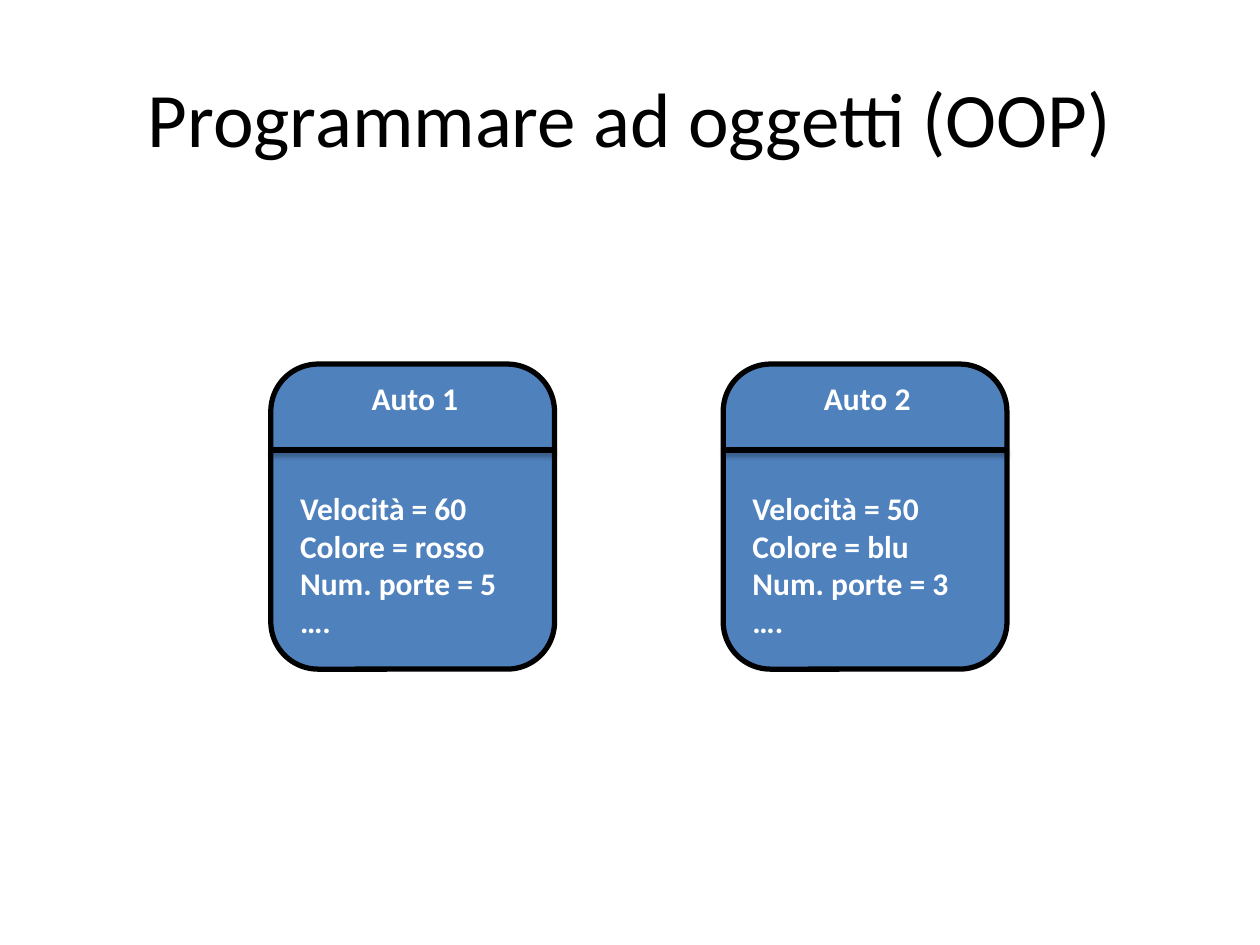
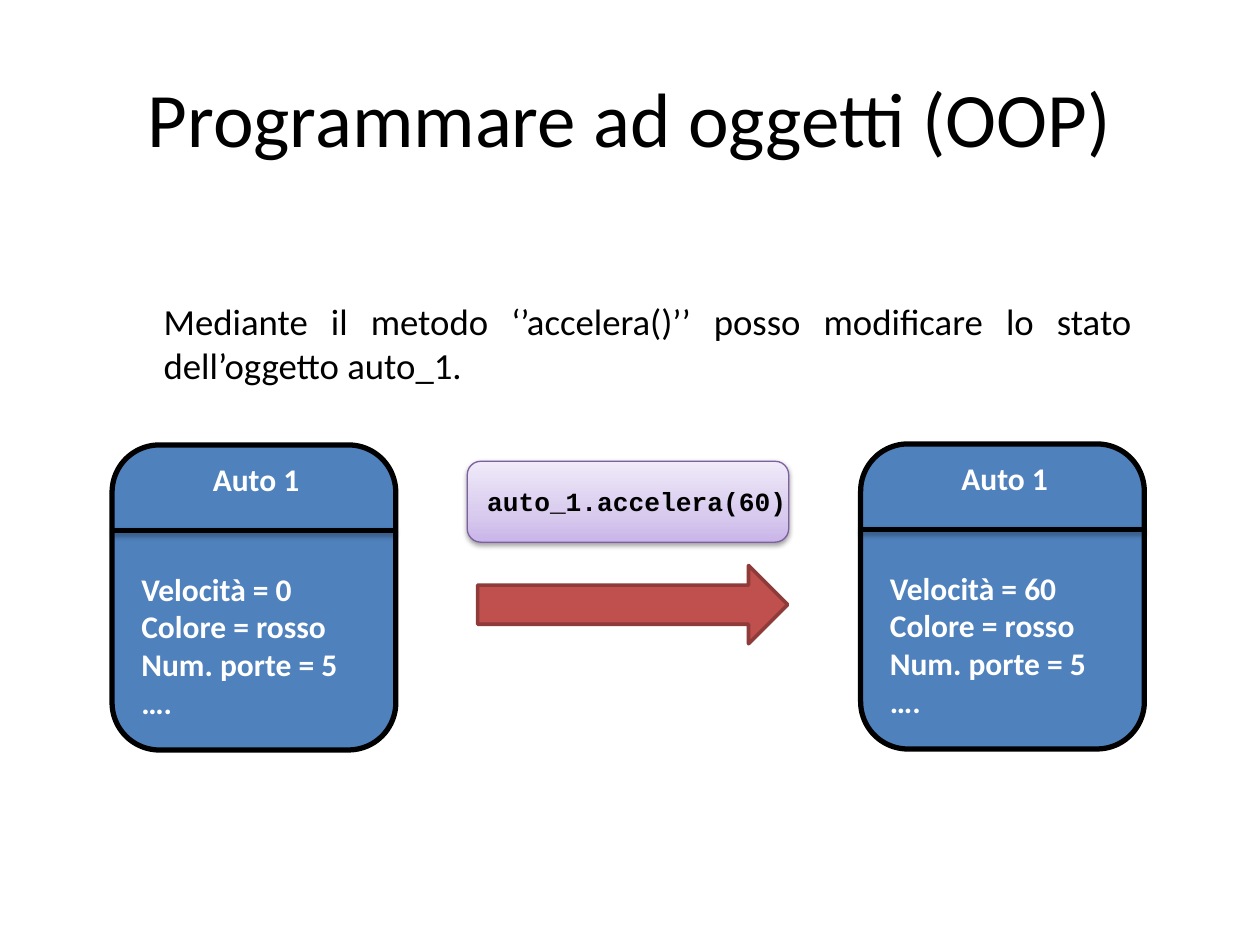
from lxml.etree import SubElement
from copy import deepcopy
from pptx import Presentation
from pptx.dml.color import RGBColor
from pptx.enum.shapes import MSO_CONNECTOR, MSO_SHAPE
from pptx.enum.text import MSO_ANCHOR as Anchor, PP_ALIGN as Align
from pptx.oxml.ns import qn
from pptx.util import Cm, Pt

COLORS = {
    "black": "000000", "white": "FFFFFF",
    "card": "4F81BD", "arrow": "C0504D", "arrow_line": "8E3B39",
    "call_line": "7D60A0", "call_dark": "C9B5E8",
    "call_mid": "D8CBEE", "call_light": "F0EAF9",
}
FORMATS = {
    "title": {"size": Pt(44), "name": "Calibri"},
    "body": {"size": Pt(21), "name": "Calibri"},
    "card": {"size": Pt(18), "name": "Calibri", "bold": True},
    "code": {"size": Pt(15), "name": "Courier New", "bold": True},
}
TITLE = "Programmare ad oggetti (OOP)"
CARD_WIDTH, CARD_HEIGHT = 5.72, 6.15
DIVIDER_OFFSET = 1.73


def rgb(name):
    return RGBColor.from_string(COLORS[name])


class Deck:
    """Holds the shared style and the current slide; lengths are in cm."""

    def __init__(self):
        self.presentation = Presentation()
        self.presentation.slide_width = Cm(25.4)
        self.presentation.slide_height = Cm(19.05)
        self.slide = None

    def new_slide(self):
        layout = self.presentation.slide_layouts[6]
        self.slide = self.presentation.slides.add_slide(layout)
        self.text([TITLE], (1.27, 0.76, 22.86, 3.18), "title",
                  align=Align.CENTER, anchor=Anchor.MIDDLE)

    def text(self, lines, box, style, color="black", align=Align.LEFT,
             anchor=Anchor.TOP, wrap=True):
        frame = self.slide.shapes.add_textbox(*map(Cm, box)).text_frame
        frame.word_wrap = wrap
        frame.vertical_anchor = anchor
        frame.text = "\n".join(lines)
        for paragraph in frame.paragraphs:
            paragraph.alignment = align
            for run in paragraph.runs:
                run.font.color.rgb = rgb(color)
                for name, value in FORMATS[style].items():
                    setattr(run.font, name, value)

    def shape(self, kind, box, fill, line, width):
        shape = self.slide.shapes.add_shape(kind, *map(Cm, box))
        shape.shadow.inherit = False
        shape.fill.solid()
        shape.fill.fore_color.rgb = rgb(fill)
        shape.line.color.rgb = rgb(line)
        shape.line.width = Pt(width)
        return shape

    def gradient(self, shape, stops):
        """Fill from bottom to top with (percent, colour) stops."""
        shape.fill.gradient()
        shape.fill.gradient_angle = 90
        stop_list = shape.element.spPr.find(qn("a:gradFill")).find(qn("a:gsLst"))
        stop_list.insert(1, deepcopy(stop_list[0]))
        for stop, (percent, color) in zip(shape.fill.gradient_stops, stops):
            stop.position = percent / 100
            stop.color.rgb = rgb(color)

    def shadow(self, shape, opacity, distance):
        """Drop a black shadow straight down."""
        properties = shape.element.spPr
        effects = properties.find(qn("a:effectLst"))
        if effects is None:
            effects = SubElement(properties, qn("a:effectLst"))
        outer = SubElement(effects, qn("a:outerShdw"), blurRad=str(Pt(3.1)),
                           dist=str(Pt(distance)), dir="5400000", rotWithShape="0")
        color = SubElement(outer, qn("a:srgbClr"), val=COLORS["black"])
        SubElement(color, qn("a:alpha"), val=str(opacity * 1000))

    def divider(self, left, top, width):
        line = self.slide.shapes.add_connector(
            MSO_CONNECTOR.STRAIGHT, Cm(left), Cm(top), Cm(left + width), Cm(top))
        line.line.color.rgb = rgb("black")
        line.line.width = Pt(3)
        self.shadow(line, 35, 1.8)

    def card(self, left, top, name, speed, color, doors):
        """Draw one object: its name above the divider, its state below."""
        self.shape(MSO_SHAPE.ROUNDED_RECTANGLE,
                   (left, top, CARD_WIDTH, CARD_HEIGHT), "card", "black", 3)
        self.text([name], (left + 1.78, top + 0.18, 2.29, 1.02),
                  "card", "white", wrap=False)
        state = [f"Velocità = {speed}", f"Colore = {color}",
                 f"Num. porte = {doors}", "…."]
        self.text(state, (left + 0.34, top + 2.39, 5.03, 3.33), "card", "white")
        self.divider(left, top + DIVIDER_OFFSET, CARD_WIDTH)

    def method_call(self, code, box):
        button = self.shape(MSO_SHAPE.ROUNDED_RECTANGLE, box,
                            "call_dark", "call_line", 0.75)
        self.gradient(button, [(0, "call_dark"), (35, "call_mid"),
                               (100, "call_light")])
        self.shadow(button, 38, 1.6)
        left, top, width, _ = box
        self.text([code], (left + 0.15, top + 0.36, width + 0.12, 0.89),
                  "code", wrap=False)


def main():
    deck = Deck()

    # Two objects of the same class
    deck.new_slide()
    deck.card(5.46, 7.34, "Auto 1", 60, "rosso", 5)
    deck.card(14.58, 7.34, "Auto 2", 50, "blu", 3)

    # One object before and after the method call
    deck.new_slide()
    deck.card(2.26, 8.97, "Auto 1", 0, "rosso", 5)
    deck.card(17.35, 8.95, "Auto 1", 60, "rosso", 5)
    deck.method_call("auto_1.accelera(60)", (9.42, 9.3, 6.48, 1.63))
    deck.shape(MSO_SHAPE.RIGHT_ARROW, (9.63, 11.4, 6.25, 1.58),
               "arrow", "arrow_line", 2)
    deck.text(["Mediante il metodo ‘’accelera()’’ posso modificare lo stato "
               "dell’oggetto auto_1."],
              (3.05, 5.89, 20.02, 2.06), "body", align=Align.JUSTIFY)

    deck.presentation.save("out.pptx")


if __name__ == "__main__":
    main()
